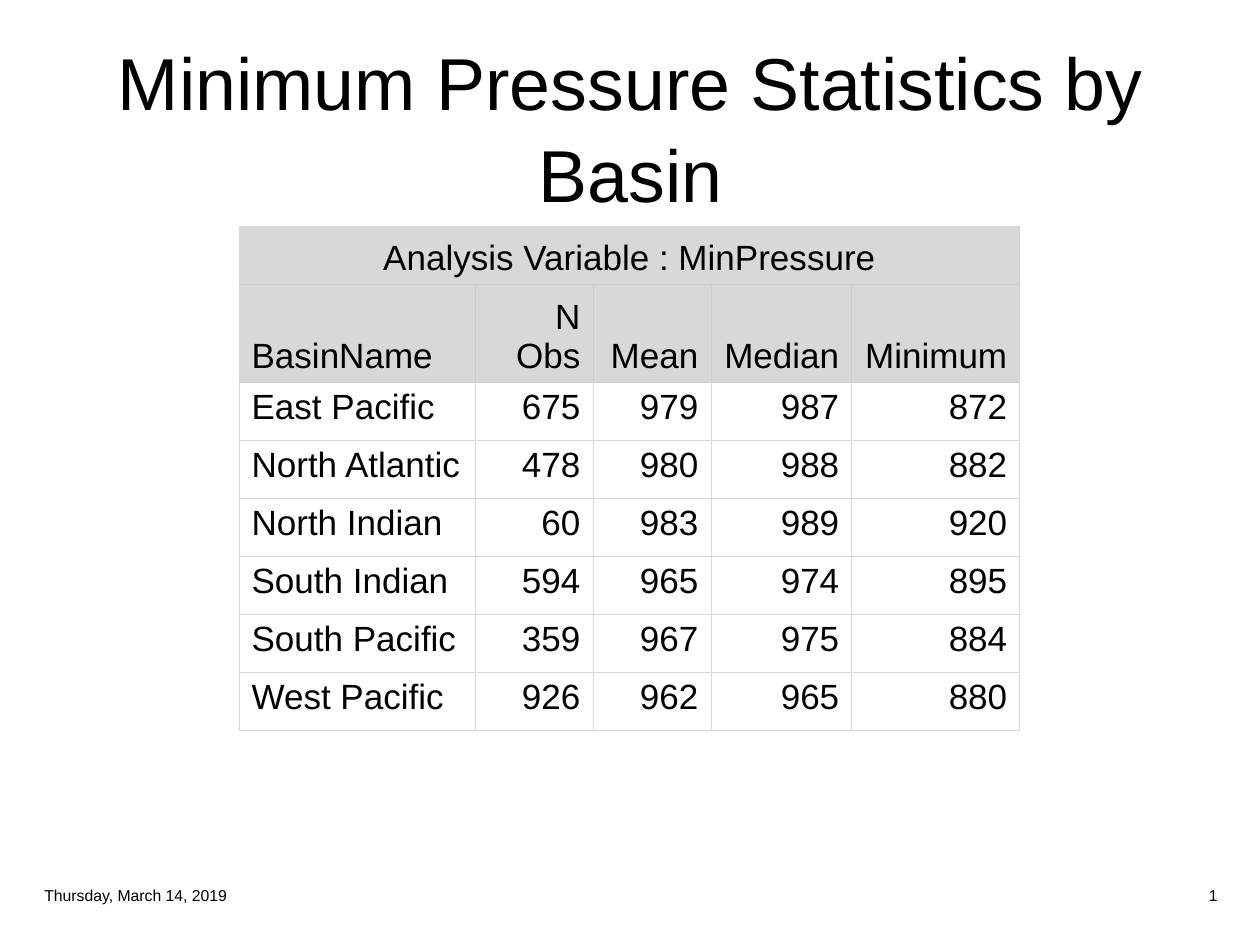
import dataclasses
import lxml.etree
import pptx
import pptx.dml.color
import pptx.enum.text
import pptx.oxml.ns
import pptx.util

SCALE = 914400 // 126
ALIGN = pptx.enum.text.PP_ALIGN
ANCHOR = pptx.enum.text.MSO_ANCHOR


@dataclasses.dataclass(frozen=True)
class Theme:
    """Colours, font and type sizes of the slide."""
    font: str = "Arial"
    ink: str = "000000"
    head: str = "D8D8D8"
    edge: str = "D8D8D8"
    rule: str = "CCCCCC"
    title: int = 42
    body: int = 20
    foot: int = 9


@dataclasses.dataclass(frozen=True)
class Label:
    """A text box, placed in pixels."""
    text: str
    left: int
    top: int
    width: int
    height: int
    size: int
    align: ALIGN
    pitch: float = 1.0


THEME = Theme()
LABELS = [
    Label("Minimum Pressure Statistics by\vBasin", 32, 32, 1197, 186,
          THEME.title, ALIGN.CENTER, 1.04),
    Label("Thursday, March 14, 2019", 32, 878, 300, 35, THEME.foot, ALIGN.LEFT),
    Label("1", 930, 878, 300, 35, THEME.foot, ALIGN.RIGHT),
]
WIDTHS = [236, 118, 118, 141, 168]
HEIGHTS = [58, 98] + [58] * 6
HEADS = 2
ROWS = [
    ["Analysis Variable : MinPressure", "", "", "", ""],
    ["BasinName", "N\vObs", "Mean", "Median", "Minimum"],
    ["East Pacific", 675, 979, 987, 872],
    ["North Atlantic", 478, 980, 988, 882],
    ["North Indian", 60, 983, 989, 920],
    ["South Indian", 594, 965, 974, 895],
    ["South Pacific", 359, 967, 975, 884],
    ["West Pacific", 926, 962, 965, 880],
]


def px(count: int) -> int:
    """Turn pixels into EMU."""
    return pptx.util.Emu(count * SCALE)


def style(frame, size: int, align: ALIGN, pitch: float = 1.0) -> None:
    """Format every paragraph and run of a text frame."""
    for para in frame.paragraphs:
        para.alignment = align
        para.line_spacing = pitch
        for run in para.runs:
            run.font.name = THEME.font
            run.font.size = pptx.util.Pt(size)
            run.font.color.rgb = pptx.dml.color.RGBColor.from_string(THEME.ink)


def write(slide, label: Label) -> None:
    """Add one text box."""
    box = slide.shapes.add_textbox(px(label.left), px(label.top),
                                   px(label.width), px(label.height))
    frame = box.text_frame
    frame.word_wrap = True
    frame.vertical_anchor = ANCHOR.MIDDLE
    frame.text = label.text
    style(frame, label.size, label.align, label.pitch)


def border(cell, sides: dict[str, str]) -> None:
    """Draw the cell's thin edges, ahead of its fill."""
    props = cell._tc.get_or_add_tcPr()
    name = pptx.oxml.ns.qn
    for spot, (side, tint) in enumerate(sides.items()):
        line = lxml.etree.Element(name("a:ln" + side), w="6350")
        fill = lxml.etree.SubElement(line, name("a:solidFill"))
        lxml.etree.SubElement(fill, name("a:srgbClr"), val=tint)
        props.insert(spot, line)


def edges(row: int, col: int) -> dict[str, str]:
    """Give the edge colours: the inner rules of the head differ."""
    last = len(WIDTHS) - 1
    outer = {"L": col == 0, "R": col == last or row >= HEADS,
             "T": row == 0 or row > HEADS, "B": row >= HEADS}
    if row >= HEADS:
        outer["L"] = True
    if row == 0:
        outer["R"] = False
    return {side: THEME.edge if out else THEME.rule
            for side, out in outer.items()}


def grid(slide) -> None:
    """Add the table of pressures."""
    table = slide.shapes.add_table(len(ROWS), len(WIDTHS), px(239), px(226),
                                   px(sum(WIDTHS)), px(sum(HEIGHTS))).table
    table.first_row = table.horz_banding = False
    for col, width in zip(table.columns, WIDTHS):
        col.width = px(width)
    for row, height in zip(table.rows, HEIGHTS):
        row.height = px(height)
    table.cell(0, 0).merge(table.cell(0, len(WIDTHS) - 1))
    for row, values in enumerate(ROWS):
        for col, value in enumerate(values):
            cell = table.cell(row, col)
            head = row < HEADS
            cell.text_frame.text = str(value)
            cell.vertical_anchor = ANCHOR.BOTTOM if head else ANCHOR.TOP
            align = ALIGN.RIGHT if col else ALIGN.LEFT
            style(cell.text_frame, THEME.body, align if row else ALIGN.CENTER)
            if head:
                cell.fill.solid()
                cell.fill.fore_color.rgb = pptx.dml.color.RGBColor.from_string(THEME.head)
            else:
                cell.fill.background()
            border(cell, edges(row, col))


def main() -> None:
    """Build the slide and save it."""
    deck = pptx.Presentation()
    deck.slide_width, deck.slide_height = px(1260), px(945)
    slide = deck.slides.add_slide(deck.slide_layouts[6])
    write(slide, LABELS[0])
    grid(slide)
    for label in LABELS[1:]:
        write(slide, label)
    deck.save("out.pptx")


main()
